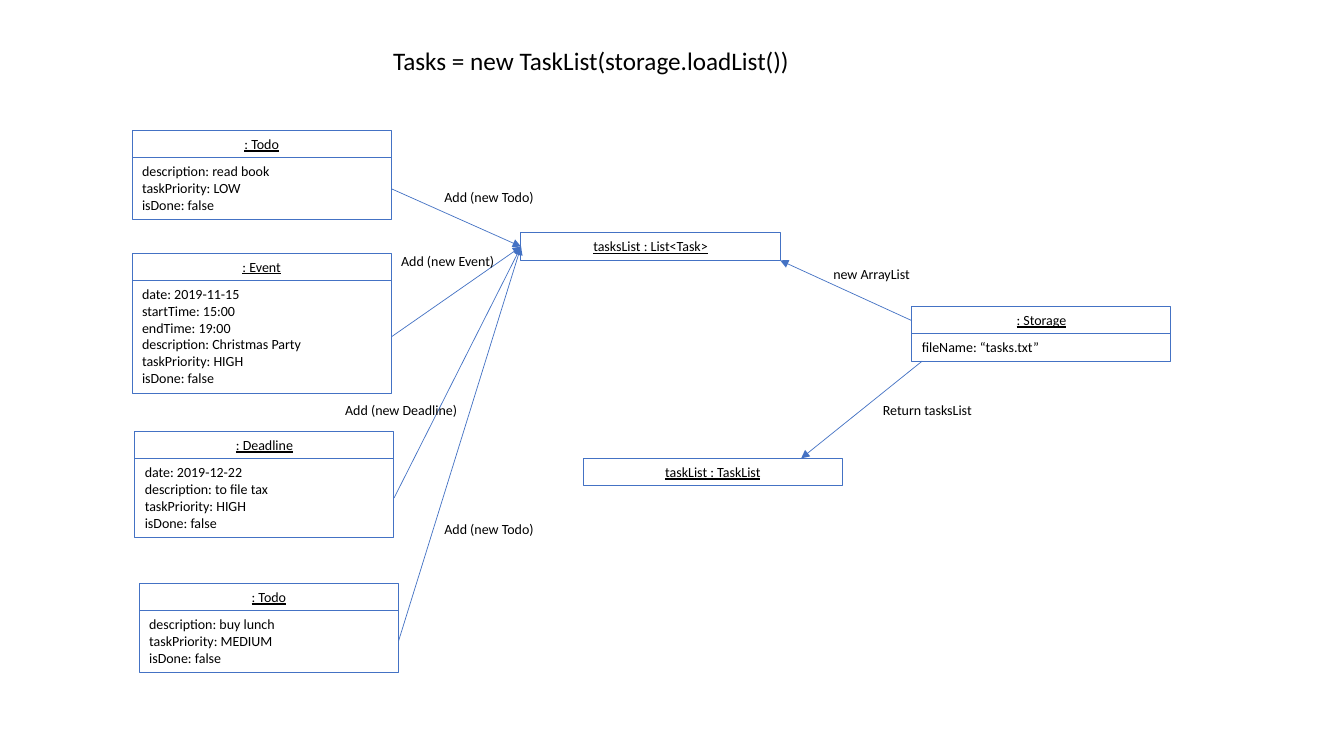
"""Build the object diagram of loading a task list from storage."""
from lxml import etree
from pptx import Presentation
from pptx.dml.color import RGBColor
from pptx.enum import shapes, text
from pptx.oxml import ns
from pptx.util import Cm, Pt

TITLE = "Tasks = new TaskList(storage.loadList())"
OBJECTS = {
    "todo_read": (3.33, 3.29, ": Todo", [
        "description: read book", "taskPriority: LOW", "isDone: false"]),
    "event": (3.33, 6.38, ": Event", [
        "date: 2019-11-15 ", "startTime: 15:00", "endTime: 19:00",
        "description: Christmas Party", "taskPriority: HIGH", "isDone: false"]),
    "deadline": (3.4, 10.87, ": Deadline", [
        "date: 2019-12-22 ", "description: to file tax",
        "taskPriority: HIGH", "isDone: false"]),
    "todo_lunch": (3.51, 14.7, ": Todo", [
        "description: buy lunch", "taskPriority: MEDIUM", "isDone: false"]),
    "storage": (22.98, 7.72, ": Storage", ["fileName: “tasks.txt”"]),
    "task_list": (14.7, 11.55, "taskList : TaskList", []),
    "tasks_list": (13.13, 5.87, "tasksList : List<Task>", []),
}
ADDED = ["todo_read", "event", "deadline", "todo_lunch"]
STORAGE_ARROWS = [(22.98, 8.08, 19.66, 6.56), (23.24, 9.1, 20.19, 11.55)]
LABELS = [
    (10.95, 4.62, 2.82, True, "Add (new Todo)"),
    (9.86, 6.23, 3.07, True, "Add (new Event)"),
    (8.45, 9.99, 3.58, True, "Add (new Deadline)"),
    (10.95, 12.99, 3.58, True, "Add (new Todo)"),
    (20.75, 6.56, 2.49, False, "new ArrayList"),
    (22, 9.99, 2.79, False, "Return tasksList"),
]
WIDTH, HEAD, LINE, PAD = 6.6 - 0.07, 0.69, 0.43, 0.26
BLUE, BLACK = "4472C4", "000000"
LEFT_SITE, RIGHT_SITE = 1, 3


def color(value):
    return RGBColor.from_string(value)


def write(sp, lines, size=10, align=text.PP_ALIGN.LEFT, underline=None, wrap=True):
    tf = sp.text_frame
    tf.text = "\n".join(lines)
    tf.word_wrap = wrap
    tf.auto_size = text.MSO_AUTO_SIZE.SHAPE_TO_FIT_TEXT
    tf.vertical_anchor = text.MSO_ANCHOR.TOP
    for p in tf.paragraphs:
        p.alignment = align
        p.font.name, p.font.size, p.font.underline = "Calibri", Pt(size), underline
        p.font.color.rgb = color(BLACK)


def add_box(s, x, y, lines, **style):
    height = PAD + LINE * len(lines)
    sp = s.shapes.add_shape(shapes.MSO_SHAPE.RECTANGLE, Cm(x), Cm(y), Cm(WIDTH), Cm(height))
    sp.shadow.inherit = False
    sp.fill.background()
    sp.line.color.rgb = color(BLUE)
    sp.line.width = Pt(0.75)
    write(sp, lines, **style)
    return sp


def add_arrow(s, *ends):
    c = s.shapes.add_connector(shapes.MSO_CONNECTOR.STRAIGHT, *map(Cm, ends))
    c.line.color.rgb = color(BLUE)
    c.line.width = Pt(0.5)
    etree.SubElement(c.line._get_or_add_ln(), ns.qn("a:tailEnd"), type="triangle")
    etree.SubElement(c._element.spPr, ns.qn("a:effectLst"))
    return c


prs = Presentation()
prs.slide_width, prs.slide_height = Cm(33.87), Cm(19.05)
s = prs.slides.add_slide(prs.slide_layouts[5])

title = s.shapes.title
title.left, title.top, title.width, title.height = Cm(9.65), Cm(1.02), Cm(11.7), Cm(1.02)
write(title, [TITLE], size=18)

boxes = {}
for key, (x, y, name, fields) in OBJECTS.items():
    boxes[key] = add_box(s, x, y, [name], align=text.PP_ALIGN.CENTER, underline=True)
    if fields:
        boxes[key] = add_box(s, x, y + HEAD, fields)

for key in ADDED:
    c = add_arrow(s, 0, 0, 0, 0)
    c.begin_connect(boxes[key], RIGHT_SITE)
    c.end_connect(boxes["tasks_list"], LEFT_SITE)
for ends in STORAGE_ARROWS:
    add_arrow(s, *ends)

for x, y, width, wrap, label in LABELS:
    write(s.shapes.add_textbox(Cm(x), Cm(y), Cm(width), Cm(HEAD)), [label], wrap=wrap)

prs.save("out.pptx")
